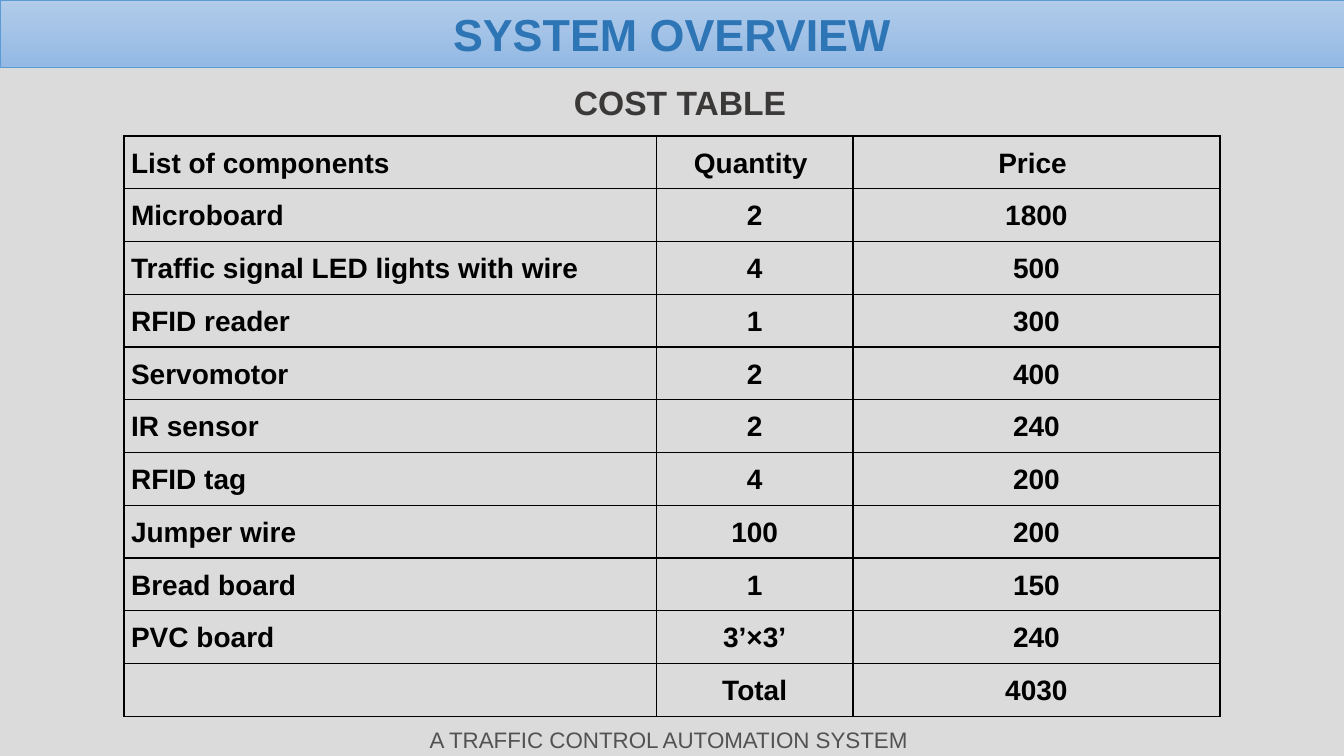
from lxml import etree
from pptx import Presentation
from pptx.dml.color import RGBColor
from pptx.enum.text import MSO_ANCHOR, MSO_AUTO_SIZE, PP_ALIGN
from pptx.oxml.ns import qn
from pptx.util import Inches, Pt

COMPONENTS = [
    ("List of components", "Quantity ", "Price "),
    ("Microboard", "2", "1800"),
    ("Traffic signal LED lights with wire", "4", "500"),
    ("RFID reader", "1", "300"),
    ("Servomotor", "2", "400"),
    ("IR sensor", "2", "240"),
    ("RFID tag", "4", "200"),
    ("Jumper wire", "100", "200"),
    ("Bread board", "1", "150"),
    ("PVC board", "3’×3’", "240"),
    ("", "Total", "4030"),
]


def rgb(value):
    return RGBColor.from_string(value)


class CostSlide:
    FONT = "Arial"
    BLACK = "000000"

    def __init__(self, prs):
        self.s = prs.slides.add_slide(prs.slide_layouts[5])
        fill = self.s.background.fill
        fill.solid()
        fill.fore_color.rgb = rgb("DBDBDB")

    def paragraph(self, tf, text, size, color, bold=True, align=PP_ALIGN.CENTER):
        p = tf.paragraphs[0]
        p.text = text
        p.alignment = align
        p.font.name = self.FONT
        p.font.size = Pt(size)
        p.font.bold = bold
        p.font.color.rgb = rgb(color)
        return p

    def title(self, text, width, height):
        sp = self.s.shapes.title
        sp.left, sp.top, sp.width, sp.height = 0, 0, width, height
        sp.fill.gradient()
        sp.fill.gradient_angle = 270
        for stop, color in zip(sp.fill.gradient_stops, ("B1CBE9", "93B9E4")):
            stop.color.rgb = rgb(color)
        sp.line.color.rgb = rgb("5B9BD5")
        sp.line.width = Pt(0.5)
        tf = sp.text_frame
        tf.auto_size = MSO_AUTO_SIZE.NONE
        tf.vertical_anchor = MSO_ANCHOR.MIDDLE
        self.paragraph(tf, text, 32, "2E75B6")

    def text(self, text, left, top, width, height, size, color, bold=True):
        box = self.s.shapes.add_textbox(
            Inches(left), Inches(top), Inches(width), Inches(height))
        tf = box.text_frame
        tf.word_wrap = True
        self.paragraph(tf, text, size, color, bold)
        return tf

    def border(self, cell):
        tc_pr = cell._tc.get_or_add_tcPr()
        for i, side in enumerate(("lnL", "lnR", "lnT", "lnB")):
            ln = etree.Element(qn(f"a:{side}"), w=str(Pt(1)))
            fill = etree.SubElement(ln, qn("a:solidFill"))
            etree.SubElement(fill, qn("a:srgbClr"), val=self.BLACK)
            tc_pr.insert(i, ln)

    def table(self, rows, left, top, widths, row_height):
        table = self.s.shapes.add_table(
            len(rows), len(widths), Inches(left), Inches(top),
            Inches(sum(widths)), Inches(row_height * len(rows))).table
        table.first_row = table.horz_banding = False
        for column, width in zip(table.columns, widths):
            column.width = Inches(width)
        for r, row in enumerate(rows):
            table.rows[r].height = Inches(row_height)
            for c, text in enumerate(row):
                cell = table.cell(r, c)
                cell.fill.background()
                self.border(cell)
                cell.margin_left = cell.margin_right = Inches(0.07)
                cell.margin_top = cell.margin_bottom = Inches(0.07)
                align = PP_ALIGN.CENTER if c else PP_ALIGN.LEFT
                p = self.paragraph(cell.text_frame, text, 20, self.BLACK, align=align)
                p.line_spacing = 1.15


def main():
    prs = Presentation()
    prs.slide_width, prs.slide_height = Inches(13.33), Inches(7.5)
    slide = CostSlide(prs)
    slide.title("SYSTEM OVERVIEW", prs.slide_width, Inches(0.67))
    slide.text("COST TABLE", 3.28, 0.76, 6.93, 0.5, 24, "3B3838")
    slide.table(COMPONENTS, 1.23, 1.35, (5.28, 1.95, 3.64), 0.48)
    footer = slide.text("A TRAFFIC CONTROL AUTOMATION SYSTEM ",
                        2.13, 7.18, 9.07, 0.28, 16, "525252", bold=False)
    footer.margin_left = footer.margin_right = footer.margin_bottom = 0
    footer.margin_top = Inches(0.02)
    prs.save("out.pptx")


if __name__ == "__main__":
    main()
